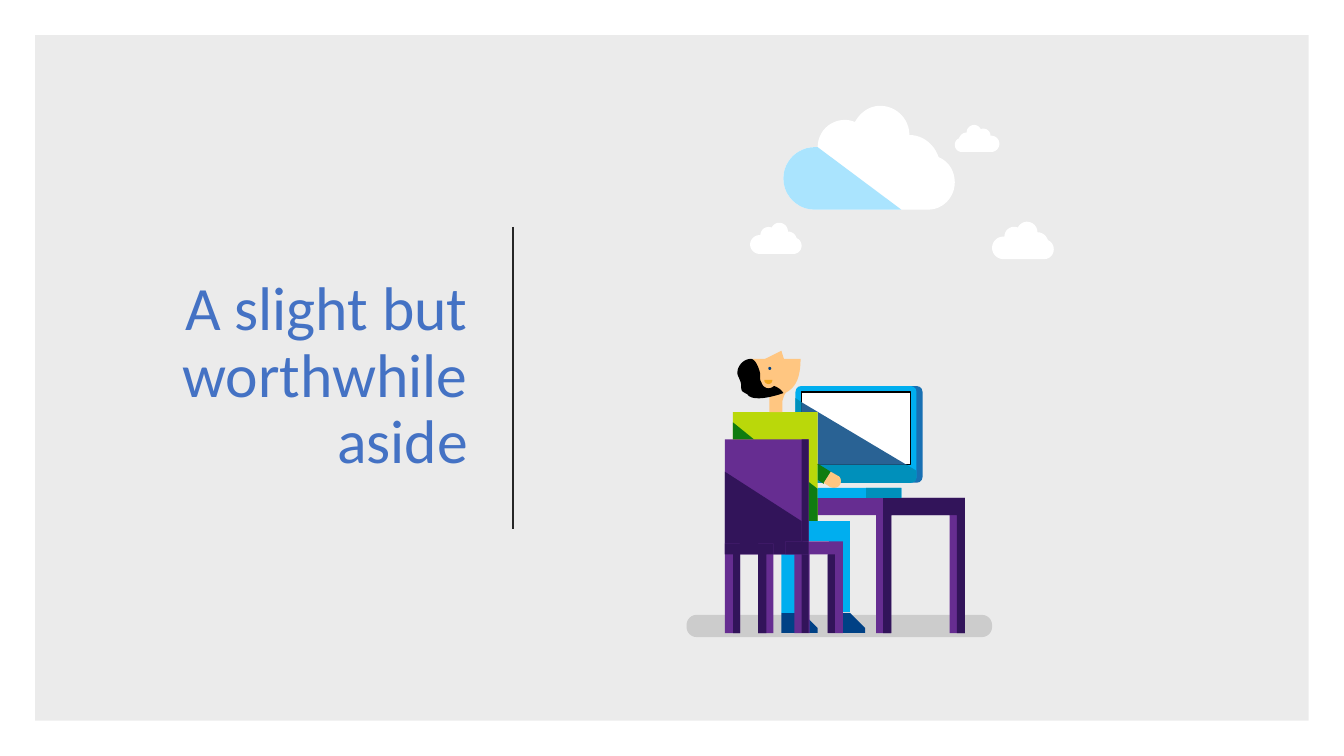
from dataclasses import dataclass
from typing import Optional, Union

from lxml.etree import SubElement
from pptx import Presentation
from pptx.dml.color import RGBColor
from pptx.enum.shapes import MSO_CONNECTOR, MSO_SHAPE
from pptx.enum.text import MSO_ANCHOR, PP_ALIGN
from pptx.oxml.ns import qn
from pptx.util import Inches, Pt

BLACK = RGBColor(0x00, 0x00, 0x00)
WHITE = RGBColor(0xFF, 0xFF, 0xFF)
DIVIDER = RGBColor(0x26, 0x26, 0x26)
TITLE_BLUE = RGBColor(0x44, 0x72, 0xC4)
PURPLE = RGBColor(0x66, 0x2D, 0x91)
DARK_PURPLE = RGBColor(0x32, 0x14, 0x5A)
CYAN = RGBColor(0x00, 0xAE, 0xEF)
TEAL = RGBColor(0x00, 0x90, 0xBB)
CASE_BLUE = RGBColor(0x18, 0x70, 0xB3)
GLARE_BLUE = RGBColor(0x29, 0x62, 0x94)
SKY = RGBColor(0xAA, 0xE4, 0xFE)
NAVY = RGBColor(0x00, 0x41, 0x85)
LIME = RGBColor(0xBA, 0xD8, 0x0A)
GREEN = RGBColor(0x10, 0x7C, 0x10)
SKIN = RGBColor(0xFF, 0xC6, 0x81)
LIP = RGBColor(0xF1, 0xA6, 0x1F)

CURVE_STEPS = 12
# A pair is a straight step; six numbers are a cubic curve (two controls, end).
Contour = list[tuple[float, ...]]


@dataclass
class Block:
    left: float
    top: float
    width: float
    height: float
    fill: RGBColor
    kind: MSO_SHAPE = MSO_SHAPE.RECTANGLE
    corner: float = 0
    opacity: int = 100
    border: Optional[RGBColor] = None


@dataclass
class Outline:
    fill: RGBColor
    contours: list[Contour]


CLOUD: Contour = [
    (1.54, 0.51), (1.5, 0.39, 1.39, 0.29, 1.25, 0.29), (1.25, 0.13, 1.12, 0, 0.96, 0),
    (0.85, 0, 0.76, 0.07, 0.71, 0.16), (0.68, 0.15, 0.65, 0.14, 0.61, 0.14),
    (0.46, 0.14, 0.34, 0.26, 0.34, 0.41), (0.33, 0.41, 0.32, 0.41, 0.31, 0.41),
    (0.14, 0.41, 0, 0.55, 0, 0.72), (0, 0.89, 0.14, 1.03, 0.31, 1.03), (1.44, 1.03),
    (1.58, 1.03, 1.7, 0.91, 1.7, 0.76), (1.7, 0.65, 1.64, 0.55, 1.54, 0.51)]


def cloud(left: float, top: float, scale: float, mirrored: bool = False) -> Outline:
    """Place the cloud; a mirrored one is flipped left to right."""
    def place(step: tuple[float, ...]) -> tuple[float, ...]:
        return tuple(top + scale * value if index % 2
                     else left + scale * (1.7 - value if mirrored else value)
                     for index, value in enumerate(step))
    return Outline(WHITE, [[place(step) for step in CLOUD]])


def shoe(left: float) -> Outline:
    return Outline(NAVY, [[(left + 0.36, 6.23), (left + 0.21, 6.08), (left, 6.08),
                           (left, 6.28), (left + 0.36, 6.28)]])


def flatten(contour: Contour) -> list[tuple[int, int]]:
    """Turn steps into points in EMU, sampling each curve."""
    points = [contour[0]]
    for step in contour[1:]:
        if len(step) == 2:
            points.append(step)
            continue
        x0, y0 = points[-1]
        x1, y1, x2, y2, x3, y3 = step
        for index in range(1, CURVE_STEPS + 1):
            t = index / CURVE_STEPS
            a, b, c, d = (1 - t) ** 3, 3 * t * (1 - t) ** 2, 3 * t * t * (1 - t), t ** 3
            points.append((a * x0 + b * x1 + c * x2 + d * x3,
                           a * y0 + b * y1 + c * y2 + d * y3))
    return [(Inches(x), Inches(y)) for x, y in points]


def draw(shapes, part: Union[Block, Outline]) -> None:
    if isinstance(part, Block):
        shape = shapes.add_shape(part.kind, Inches(part.left), Inches(part.top),
                                 Inches(part.width), Inches(part.height))
        if part.corner:
            shape.adjustments[0] = part.corner
    else:
        first, *others = [flatten(contour) for contour in part.contours]
        builder = shapes.build_freeform(*first[0])
        builder.add_line_segments(first[1:])
        for points in others:
            builder.move_to(*points[0])
            builder.add_line_segments(points[1:])
        shape = builder.convert_to_shape()
    shape.shadow.inherit = False
    shape.fill.solid()
    shape.fill.fore_color.rgb = part.fill
    shape.line.fill.background()
    if isinstance(part, Block):
        if part.opacity < 100:
            color = shape.fill._xPr.find(qn("a:solidFill"))[0]
            SubElement(color, qn("a:alpha"), val=str(part.opacity * 1000))
        if part.border is not None:
            shape.line.color.rgb = part.border
            shape.line.width = Pt(1)


ROUND = MSO_SHAPE.ROUNDED_RECTANGLE
BACKDROP = Block(0.35, 0.35, 12.63, 6.8, BLACK, opacity=8)
GROUND = Block(6.81, 6.1, 3.03, 0.22, BLACK, ROUND, 0.45, 13)
DESK = [
    Outline(PURPLE, [[(7.4, 4.94), (7.4, 5.11), (8.69, 5.11), (8.69, 6.28), (8.84, 6.28),
                      (8.84, 5.11), (9.42, 5.11), (9.42, 6.28), (9.57, 6.28), (9.57, 4.94)]]),
    Outline(DARK_PURPLE, [[(9.57, 4.94), (8.76, 4.94), (8.76, 6.28), (8.84, 6.28), (8.84, 5.11),
                           (9.49, 5.11), (9.49, 6.28), (9.57, 6.28)]])]
SKY_PARTS = [
    cloud(7.77, 1.05, 1), cloud(7.44, 2.21, 0.3),
    cloud(9.47, 1.24, 0.26, True), cloud(9.84, 2.2, 0.36),
    Outline(SKY, [[(8.08, 1.46), (7.91, 1.46, 7.77, 1.6, 7.77, 1.77),
                   (7.77, 1.94, 7.91, 2.08, 8.08, 2.08), (8.94, 2.08), (8.11, 1.46)]])]
MONITOR = [
    Block(7.97, 3.83, 1.18, 0.96, CASE_BLUE, ROUND, 0.06),
    Block(7.89, 3.83, 1.2, 0.96, CYAN, ROUND, 0.06),
    Block(7.95, 3.89, 1.08, 0.72, WHITE, border=BLACK),
    Outline(TEAL, [[(8.11, 4.76), (8.11, 4.79), (8.17, 4.79)],
                   [(8.99, 4.61), (8.12, 4.61), (8.24, 4.68), (8.18, 4.79), (9.03, 4.79),
                    (9.03, 4.79, 9.09, 4.79, 9.09, 4.73), (9.09, 4.67)],
                   [(7.89, 3.95), (7.89, 4.09), (7.95, 4.09), (7.95, 3.99)]]),
    Outline(GLARE_BLUE, [[(7.95, 3.99), (7.95, 4.09), (8.11, 4.09), (8.11, 4.6),
                          (8.12, 4.61), (8.99, 4.61)]])]
BODY = [
    Outline(GREEN, [[(8.11, 4.6), (8.11, 4.76), (8.17, 4.8), (8.24, 4.68)]]),
    Block(7.27, 4.09, 0.84, 1.23, LIME),
    Outline(GREEN, [[(8.02, 4.78), (8.02, 5.17), (8.11, 5.17), (8.11, 4.85)],
                    [(7.27, 4.19), (7.27, 4.36), (7.48, 4.36)]]),
    Outline(SKIN, [[(7.83, 3.87), (7.76, 3.85), (7.74, 3.9), (7.63, 3.9), (7.63, 4.09),
                    (7.76, 4.09), (7.76, 3.98), (7.77, 3.95, 7.78, 3.89, 7.83, 3.87)]]),
    shoe(7.75), shoe(8.22),
    Block(8.22, 5.2, 0.21, 0.87, CYAN),
    Block(7.75, 5.17, 0.2, 0.91, CYAN),
    Block(7.54, 5.17, 0.89, 0.2, CYAN),
    Outline(SKIN, [[(8.23, 4.83), (8.27, 4.85, 8.31, 4.84, 8.33, 4.81),
                    (8.35, 4.78, 8.34, 4.73, 8.31, 4.72), (8.24, 4.68), (8.17, 4.79)]])]
HEAD = [
    Outline(SKIN, [[(7.59, 3.56), (7.75, 3.48), (7.79, 3.61)]]),
    Outline(SKIN, [[(7.45, 3.92), (7.7, 3.92), (7.89, 3.9, 7.94, 3.75, 7.94, 3.56),
                    (7.45, 3.56)]]),
    Block(7.62, 3.64, 0.03, 0.03, NAVY, MSO_SHAPE.OVAL),
    Outline(BLACK, [[(7.57, 3.81), (7.56, 3.8), (7.53, 3.77, 7.54, 3.75, 7.54, 3.71),
                     (7.53, 3.66, 7.5, 3.57, 7.45, 3.56), (7.35, 3.56, 7.28, 3.68, 7.33, 3.75),
                     (7.34, 3.78, 7.35, 3.79, 7.35, 3.82), (7.35, 3.84, 7.35, 3.86, 7.36, 3.88),
                     (7.37, 3.89, 7.39, 3.9, 7.41, 3.91), (7.47, 4.01, 7.77, 3.9, 7.77, 3.9),
                     (7.72, 3.81, 7.57, 3.81, 7.57, 3.81)]]),
    Outline(SKIN, [[(7.55, 3.77), (7.55, 3.81, 7.58, 3.85, 7.62, 3.85),
                    (7.67, 3.85, 7.7, 3.81, 7.7, 3.77)]]),
    Outline(LIP, [[(7.66, 3.77), (7.58, 3.77), (7.58, 3.79, 7.6, 3.81, 7.62, 3.81),
                   (7.65, 3.81, 7.66, 3.79, 7.66, 3.77)]])]
CHAIR = [
    Block(7.19, 4.36, 0.83, 1.14, PURPLE),
    *[Block(left, 5.39, 0.15, 0.89, PURPLE) for left in (7.19, 7.52, 7.88, 8.21)],
    Block(7.79, 5.37, 0.57, 0.13, PURPLE),
    *[Block(7.95, top, 0.07, height, DARK_PURPLE)
      for top, height in ((4.36, 1.01), (5.37, 0.13), (5.5, 0.78))],
    Block(8.21, 5.5, 0.07, 0.78, DARK_PURPLE),
    Outline(DARK_PURPLE, [[(7.19, 4.68), (7.19, 5.39), (7.34, 5.39), (7.34, 5.5), (7.52, 5.5),
                           (7.52, 5.39), (7.67, 5.39), (7.67, 5.5), (7.79, 5.5), (7.79, 5.37),
                           (7.95, 5.37), (7.95, 5.17)]]),
    Outline(DARK_PURPLE, [[(7.34, 5.39), (7.19, 5.39), (7.19, 5.5), (7.27, 5.5),
                           (7.27, 6.28), (7.34, 6.28)]]),
    Outline(DARK_PURPLE, [[(7.67, 5.39), (7.52, 5.39), (7.52, 6.28), (7.6, 6.28),
                           (7.6, 5.5), (7.67, 5.5)]]),
    Block(7.79, 5.37, 0.17, 0.13, DARK_PURPLE)]
STAND = [Block(8.11, 4.84, 0.83, 0.1, CYAN), Block(8.59, 4.84, 0.35, 0.1, TEAL)]

deck = Presentation()
deck.slide_width, deck.slide_height = Inches(13.33), Inches(7.5)
page = deck.slides.add_slide(deck.slide_layouts[6])
draw(page.shapes, BACKDROP)

divider = page.shapes.add_connector(MSO_CONNECTOR.STRAIGHT, Inches(5.09), Inches(2.25),
                                    Inches(5.09), Inches(5.25))
divider.line.color.rgb = DIVIDER
divider.line.width = Pt(1.5)
SubElement(divider._element.spPr, qn("a:effectLst"))

title_box = page.shapes.add_textbox(Inches(0.92), Inches(1.05), Inches(3.82), Inches(5.39))
title_box.text_frame.word_wrap = True
title_box.text_frame.vertical_anchor = MSO_ANCHOR.MIDDLE
para = title_box.text_frame.paragraphs[0]
para.text = "A slight but worthwhile aside"
para.alignment, para.line_spacing = PP_ALIGN.RIGHT, 0.9
para.font.name, para.font.size = "Calibri", Pt(44)
para.font.color.rgb = TITLE_BLUE

scene = page.shapes.add_group_shape()
for scene_part in [GROUND, *DESK, *SKY_PARTS, *MONITOR, *BODY, *CHAIR, *STAND, *HEAD]:
    draw(scene.shapes, scene_part)
deck.save("out.pptx")
